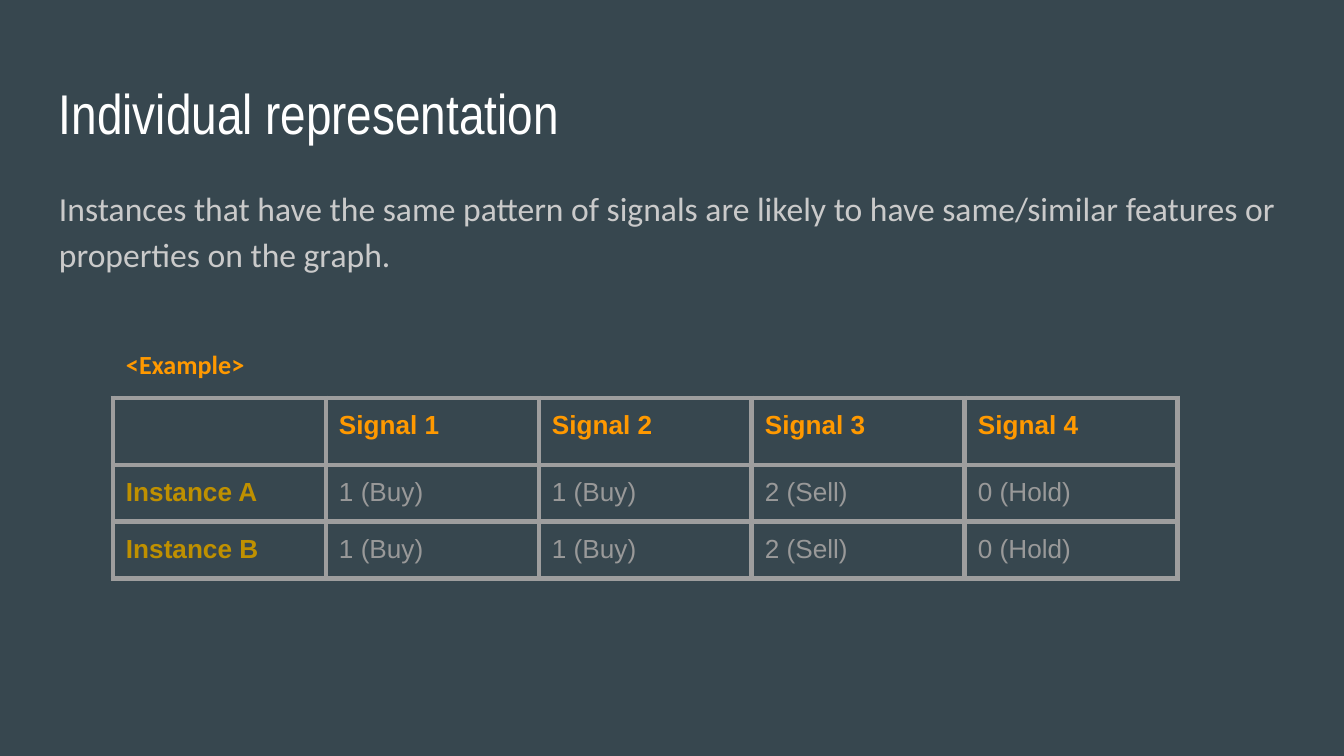
from lxml import etree
from pptx import Presentation
from pptx import util as u
from pptx.dml.color import RGBColor
from pptx.enum import text
from pptx.oxml import ns

PX = 914400 / 134.4
INSET = 13


def px(*lengths):
    return [u.Emu(round(length * PX)) for length in lengths]


def write(frame, wording, font, size, color, bold=False):
    paragraph = frame.paragraphs[0]
    paragraph.alignment = text.PP_ALIGN.LEFT
    run = paragraph.add_run()
    run.text = wording
    run.font.name = font
    run.font.size = u.Pt(size)
    run.font.bold = bold
    run.font.color.rgb = RGBColor.from_string(color)
    return paragraph


deck = Presentation()
deck.slide_width, deck.slide_height = px(1344, 756)
slide = deck.slides.add_slide(deck.slide_layouts[1])
slide.background.fill.solid()
slide.background.fill.fore_color.rgb = RGBColor.from_string("37474F")

heading = slide.shapes.title
heading.left, heading.top, heading.width, heading.height = px(46, 66, 1253, 85)
explanation = slide.placeholders[1]
explanation.left, explanation.top, explanation.width, explanation.height = px(46, 169, 1253, 503)

signals = [
    ["", "Signal 1", "Signal 2", "Signal 3", "Signal 4"],
    ["Instance A", "1 (Buy)", "1 (Buy)", "2 (Sell)", "0 (Hold)"],
    ["Instance B", "1 (Buy)", "1 (Buy)", "2 (Sell)", "0 (Hold)"],
]
grid = slide.shapes.add_table(3, 5, *px(113, 398, 1065, 178)).table
grid.first_row = False
grid.horz_banding = False
for column in grid.columns:
    column.width = px(213)[0]
for row, height in zip(grid.rows, px(64, 57, 57)):
    row.height = height

for r, entries in enumerate(signals):
    for c, entry in enumerate(entries):
        cell = grid.cell(r, c)
        cell.margin_left, cell.margin_top, cell.margin_right, cell.margin_bottom = px(*[INSET] * 4)
        if entry:
            color = "FF9900" if r == 0 else "BF9000" if c == 0 else "999999"
            write(cell.text_frame, entry, "Arial", 14, color, r == 0 or c == 0)
        properties = cell._tc.get_or_add_tcPr()
        for side in ("a:lnL", "a:lnR", "a:lnT", "a:lnB"):
            border = etree.SubElement(properties, ns.qn(side), w=str(u.Pt(3)))
            paint = etree.SubElement(border, ns.qn("a:solidFill"))
            etree.SubElement(paint, ns.qn("a:srgbClr"), val="9E9E9E")
        cell.fill.background()

caption = slide.shapes.add_textbox(*px(113, 335, 265, 32))

for holder in (heading, explanation, caption):
    frame = holder.text_frame
    frame.word_wrap = True
    frame.auto_size = text.MSO_AUTO_SIZE.NONE
    frame.vertical_anchor = text.MSO_ANCHOR.TOP
    frame.margin_left, frame.margin_top, frame.margin_right, frame.margin_bottom = px(*[INSET] * 4)

write(heading.text_frame, "Individual representation", "Arial Narrow", 30, "FFFFFF")
statement = write(
    explanation.text_frame,
    "Instances that have the same pattern of signals are likely to have "
    "same/similar features or properties on the graph.",
    "Calibri", 18, "CACACA",
)
statement.line_spacing = 1.15
statement.space_before = u.Pt(0)
indents = statement._p.get_or_add_pPr()
indents.set("marL", "0")
indents.set("indent", "0")
etree.SubElement(indents, ns.qn("a:buNone"))
write(caption.text_frame, "<Example>", "Calibri", 14, "FF9900", True)

deck.save("out.pptx")
